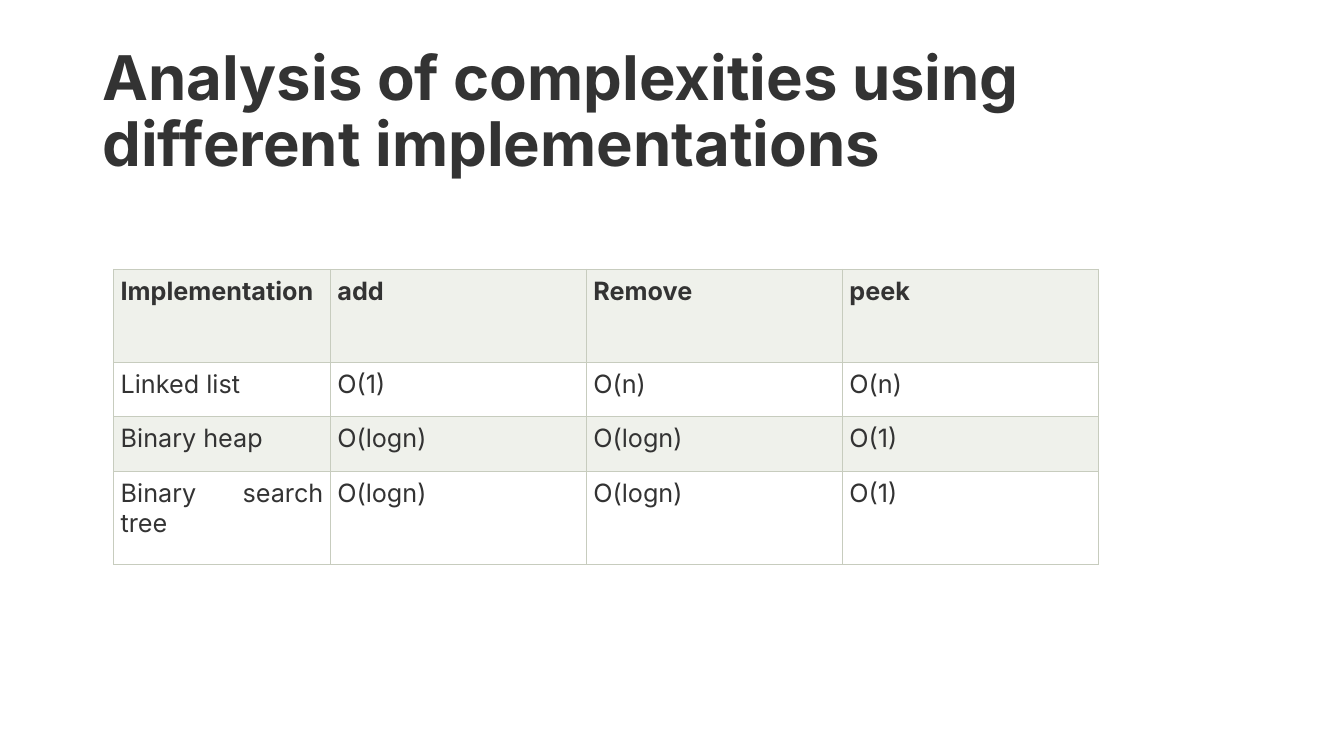
"""Build a slide comparing the complexities of three implementations."""
from lxml import etree
from pptx import Presentation
from pptx.dml.color import RGBColor
from pptx.enum.text import MSO_ANCHOR, PP_ALIGN
from pptx.oxml.ns import qn
from pptx.util import Pt

TITLE = "Analysis of complexities using different implementations"
ROWS = [
    ("Implementation", "add", "Remove", "peek"),
    ("Linked list", "O(1)", "O(n)", "O(n)"),
    ("Binary heap", "O(logn)", "O(logn)", "O(1)"),
    ("Binary search tree", "O(logn)", "O(logn)", "O(1)"),
]
WIDTHS = [154.8, 182.9, 182.9, 182.9]
HEIGHTS = [66.4, 38.9, 38.9, 66.4]
INSET = Pt(5)
FONT = "Inter"
INK = RGBColor(0x33, 0x33, 0x33)
SAGE = RGBColor(0xEF, 0xF1, 0xEB)
WHITE = RGBColor(0xFF, 0xFF, 0xFF)
RULE = RGBColor(0xC7, 0xCC, 0xBE)
MIDDLE = MSO_ANCHOR.MIDDLE
TOP = MSO_ANCHOR.TOP
LEFT = PP_ALIGN.LEFT
JUSTIFY = PP_ALIGN.JUSTIFY


def write(para, text, size, bold, align):
    """Add one styled run to a paragraph."""
    para.alignment = align
    run = para.add_run()
    run.text = text
    font = run.font
    font.name, font.size, font.bold = FONT, Pt(size), bold
    font.color.rgb = INK


def border(cell):
    """Draw a thin rule on all four sides of a cell."""
    props = cell._tc.get_or_add_tcPr()
    for side in ("a:lnL", "a:lnR", "a:lnT", "a:lnB"):
        line = etree.SubElement(props, qn(side), w=str(Pt(0.6)))
        fill = etree.SubElement(line, qn("a:solidFill"))
        etree.SubElement(fill, qn("a:srgbClr"), val=str(RULE))


def add_title(slide):
    """Place and fill the title."""
    title = slide.shapes.title
    title.left, title.top = Pt(66), Pt(28.75)
    title.width, title.height = Pt(828), Pt(104.4)
    frame = title.text_frame
    frame.word_wrap = True
    frame.vertical_anchor = MIDDLE
    para = frame.paragraphs[0]
    para.line_spacing = 0.9
    write(para, TITLE, 44, True, LEFT)


def add_grid(slide):
    """Add the table of complexities."""
    grid = slide.shapes.add_table(
        len(ROWS), len(WIDTHS), Pt(81.2), Pt(192.3),
        Pt(sum(WIDTHS)), Pt(sum(HEIGHTS))).table
    for col, width in zip(grid.columns, WIDTHS):
        col.width = Pt(width)
    for r, (row, height) in enumerate(zip(ROWS, HEIGHTS)):
        grid.rows[r].height = Pt(height)
        for c, text in enumerate(row):
            cell = grid.cell(r, c)
            cell.margin_left = cell.margin_right = INSET
            cell.margin_top = cell.margin_bottom = INSET
            cell.vertical_anchor = TOP
            border(cell)
            cell.fill.solid()
            cell.fill.fore_color.rgb = WHITE if r % 2 else SAGE
            write(cell.text_frame.paragraphs[0], text, 18, r == 0, JUSTIFY)


def main():
    """Create and save the deck."""
    deck = Presentation()
    deck.slide_width, deck.slide_height = Pt(960), Pt(540)
    slide = deck.slides.add_slide(deck.slide_layouts[5])
    add_title(slide)
    add_grid(slide)
    deck.save("out.pptx")


if __name__ == "__main__":
    main()
